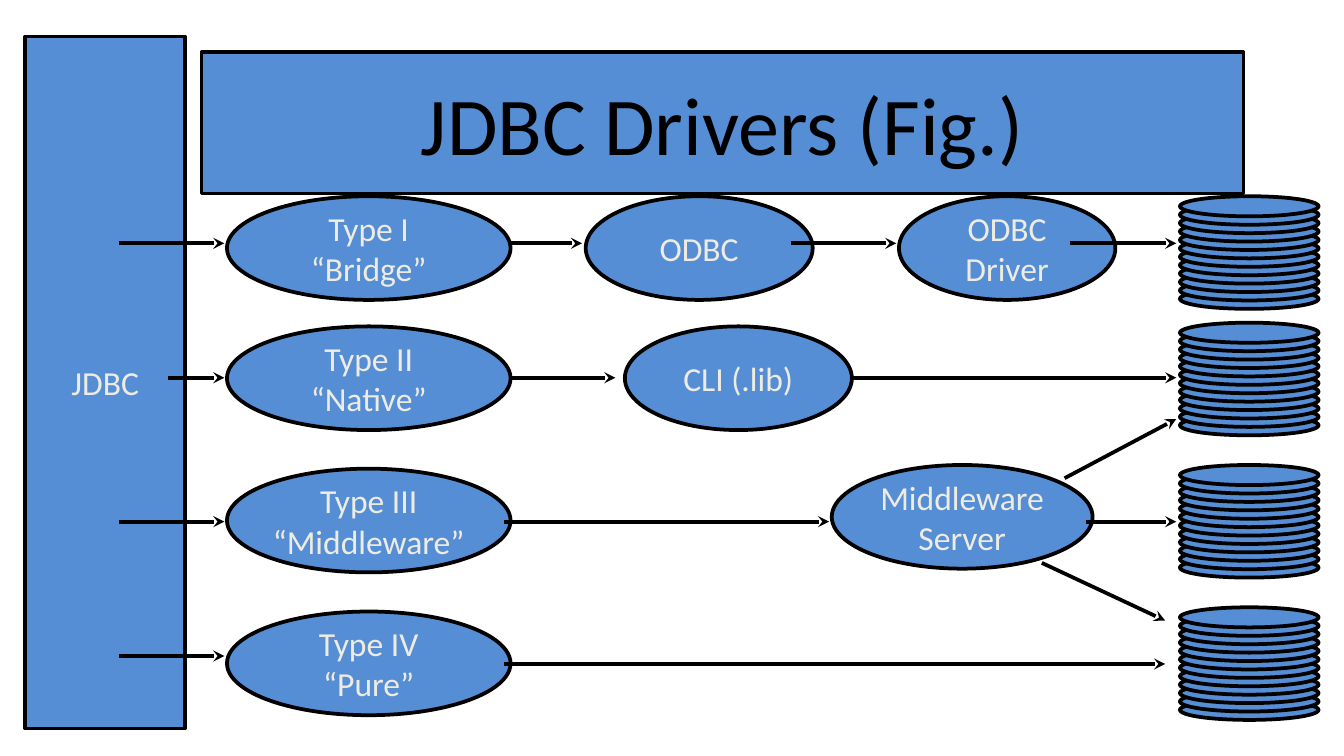
from lxml import etree
from pptx import Presentation
from pptx.dml.color import RGBColor
from pptx.enum.shapes import MSO_CONNECTOR, MSO_SHAPE
from pptx.enum.text import MSO_ANCHOR, PP_ALIGN
from pptx.oxml.ns import qn
from pptx.util import Cm, Pt

RECT, OVAL = MSO_SHAPE.RECTANGLE, MSO_SHAPE.OVAL
STRAIGHT = MSO_CONNECTOR.STRAIGHT
MIDDLE, CENTER = MSO_ANCHOR.MIDDLE, PP_ALIGN.CENTER
COLORS = {"fill": "558ED5", "line": "000000", "title": "000000", "label": "EEECE1"}
FRAME = {"vertical_anchor": MIDDLE, "word_wrap": False}
TITLE_FONT = {"name": "Calibri", "size": Pt(44)}
LABEL_FONT = {"name": "Calibri", "size": Pt(18)}


def paint(sp):
    """Give a shape the common blue fill and black outline."""
    sp.shadow.inherit = False
    sp.fill.solid()
    sp.fill.fore_color.rgb = RGBColor.from_string(COLORS["fill"])
    sp.line.color.rgb = RGBColor.from_string(COLORS["line"])
    sp.line.width = Pt(2)


def write(sp, lines, font, color):
    """Fill a shape with centred paragraphs."""
    tf = sp.text_frame
    for name, value in FRAME.items():
        setattr(tf, name, value)
    tf.text = "\n".join(lines)
    for p in tf.paragraphs:
        p.alignment = CENTER
        r = p.runs[0]
        for name, value in font.items():
            setattr(r.font, name, value)
        r.font.color.rgb = RGBColor.from_string(COLORS[color])


prs = Presentation()
prs.slide_width, prs.slide_height = Cm(25.4), Cm(14.29)
s = prs.slides.add_slide(prs.slide_layouts[5])

# Title
title = s.shapes.title
title.left, title.top, title.width, title.height = Cm(3.81), Cm(0.99), Cm(19.69), Cm(2.67)
paint(title)
write(title, ["JDBC Drivers (Fig.)"], TITLE_FONT, "title")

# JDBC bar and driver components: shape, left, top, width, height, lines
TYPE_X, TYPE_W, OVAL_H = 4.29, 5.36, 1.96
nodes = [
    (RECT, 0.48, 0.69, 3.02, 13.08, ["JDBC"]),
    (OVAL, TYPE_X, 3.71, TYPE_W, OVAL_H, ["Type I", "“Bridge”"]),
    (OVAL, TYPE_X, 6.17, TYPE_W, OVAL_H, ["Type II", "“Native”"]),
    (OVAL, TYPE_X, 8.86, TYPE_W, OVAL_H, ["Type III", "“Middleware”"]),
    (OVAL, TYPE_X, 11.56, TYPE_W, OVAL_H, ["Type IV", "“Pure”"]),
    (OVAL, 11.07, 3.71, 4.29, OVAL_H, ["ODBC"]),
    (OVAL, 16.99, 3.71, 4.09, OVAL_H, ["ODBC", "Driver"]),
    (OVAL, 11.81, 6.17, 4.29, OVAL_H, ["CLI (.lib)"]),
    (OVAL, 15.72, 8.79, 4.93, OVAL_H, ["Middleware", "Server"]),
]
for kind, x, y, w, h, lines in nodes:
    sp = s.shapes.add_shape(kind, Cm(x), Cm(y), Cm(w), Cm(h))
    paint(sp)
    write(sp, lines, LABEL_FONT, "label")

# Databases: stacks of disks, drawn from the bottom up
DISKS, DISK_STEP = 12, 0.159
for top in (3.71, 6.1, 8.79, 11.48):
    stack = s.shapes.add_group_shape()
    for i in reversed(range(DISKS)):
        disk = stack.shapes.add_shape(
            OVAL, Cm(22.3), Cm(top + i * DISK_STEP), Cm(2.62), Cm(0.38))
        paint(disk)

# Arrows: start x, start y, end x, end y
ROW_1, ROW_2, ROW_3 = 4.6, 7.14, 9.86
BAR_X, TYPE_END, DB_X = 2.24, 4.24, 22.23
arrows = [
    (9.53, 12.55, 22.02, 12.55),
    (9.53, ROW_3, 15.67, ROW_3),
    (9.63, ROW_2, 11.63, ROW_2),
    (9.63, ROW_1, 11, ROW_1),
    (14.94, ROW_1, 16.94, ROW_1),
    (20.22, ROW_1, DB_X, ROW_1),
    (16.08, ROW_2, DB_X, ROW_2),
    (20.52, ROW_3, DB_X, ROW_3),
    (3.18, ROW_2, TYPE_END, ROW_2),
    (BAR_X, ROW_1, TYPE_END, ROW_1),
    (BAR_X, 12.4, TYPE_END, 12.4),
    (BAR_X, ROW_3, TYPE_END, ROW_3),
    (20.12, 9.04, DB_X, 7.92),
    (19.69, 10.64, 22.02, 11.73),
]
for ends in arrows:
    arrow = s.shapes.add_connector(STRAIGHT, *(Cm(v) for v in ends))
    arrow.line.color.rgb = RGBColor.from_string(COLORS["line"])
    arrow.line.width = Pt(2)
    etree.SubElement(arrow.line._get_or_add_ln(), qn("a:tailEnd"), type="stealth")
    etree.SubElement(arrow._element.spPr, qn("a:effectLst"))

prs.save("out.pptx")
